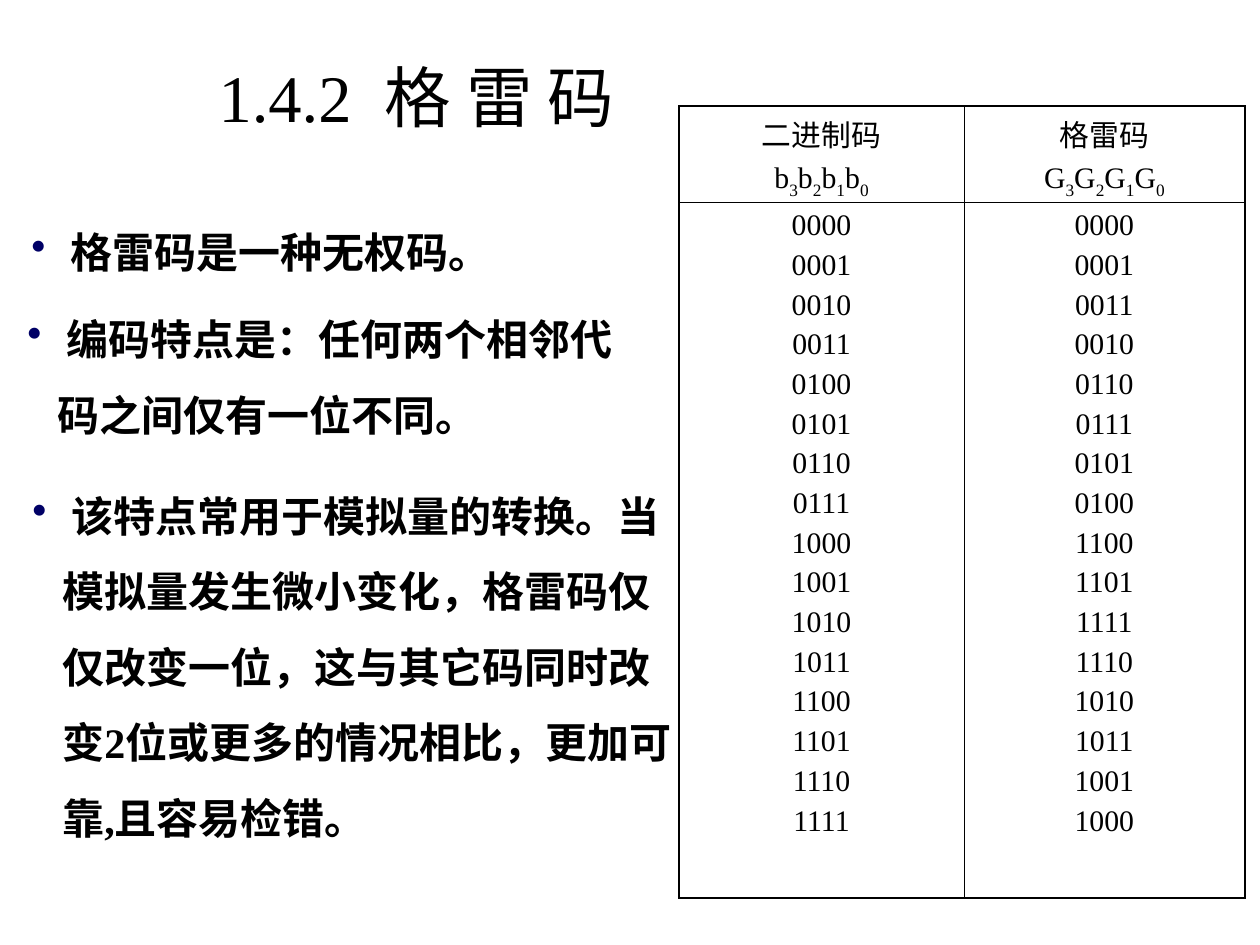
import pptx
import pptx.util
import pptx.dml.color
import pptx.enum.text
import pptx.oxml
import pptx.oxml.ns
from lxml import etree

Pt = pptx.util.Pt
BLACK = pptx.dml.color.RGBColor(0x00, 0x00, 0x00)
WHITE = pptx.dml.color.RGBColor(0xFF, 0xFF, 0xFF)
NAVY = pptx.dml.color.RGBColor(0x00, 0x00, 0x66)
FONT = "Times New Roman"
CENTER = pptx.enum.text.PP_ALIGN.CENTER
MIDDLE = pptx.enum.text.MSO_ANCHOR.MIDDLE
NO_AUTOFIT = pptx.enum.text.MSO_AUTO_SIZE.NONE

# Content; places are left, top, width, height in points
TITLE = "1.4.2  格 雷 码"
TITLE_PLACE = (59.8, 31.7, 356.4, 46.1)
BULLETS = [
    ("格雷码是一种无权码。", (10.8, 111.6, 370.8, 50.4)),
    ("编码特点是：任何两个相邻代码之间仅有一位不同。", (8.6, 161.3, 370.8, 93.6)),
    ("该特点常用于模拟量的转换。当模拟量发生微小变化，格雷码仅仅改变一位，"
     "这与其它码同时改变2位或更多的情况相比，更加可靠,且容易检错。",
     (11.5, 262.1, 384.5, 223.2)),
]
HEADERS = [("二进制码", "b"), ("格雷码", "G")]
BITS = 4
CODES = [
    [f"{number:04b}" for number in range(2 ** BITS)],
    [f"{number ^ (number >> 1):04b}" for number in range(2 ** BITS)],
]
TABLE_LEFT, TABLE_TOP = 388.1, 60.5
COLUMN_WIDTHS = (162.7, 160.6)
ROW_HEIGHTS = (55.4, 397.4)
OUTER_LINE, INNER_LINE = 1.08, 0.45
HANGING = 17


def place(shape, box):
    shape.left, shape.top, shape.width, shape.height = map(Pt, box)


def set_font(paragraph, size, bold=False):
    font = paragraph.font
    font.name, font.size, font.bold = FONT, Pt(size), bold
    font.color.rgb = BLACK


def add_bullet(paragraph):
    properties = paragraph._p.get_or_add_pPr()
    properties.set("marL", str(Pt(HANGING)))
    properties.set("indent", str(-Pt(HANGING)))
    color = etree.SubElement(properties, pptx.oxml.ns.qn("a:buClr"))
    etree.SubElement(color, pptx.oxml.ns.qn("a:srgbClr"), val=str(NAVY))
    etree.SubElement(properties, pptx.oxml.ns.qn("a:buChar"), char="•")


def set_borders(cell, row, column):
    properties = cell._tc.get_or_add_tcPr()
    outer_sides = {"L": column == 0, "R": column == 1, "T": row == 0, "B": row == 1}
    for side, outer in outer_sides.items():
        width = Pt(OUTER_LINE if outer else INNER_LINE)
        line = etree.SubElement(properties, pptx.oxml.ns.qn("a:ln" + side), w=str(width))
        fill = etree.SubElement(line, pptx.oxml.ns.qn("a:solidFill"))
        etree.SubElement(fill, pptx.oxml.ns.qn("a:srgbClr"), val=str(BLACK))


def fill_cell(cell, row, column):
    if row == 0:
        label, letter = HEADERS[column]
        cell.text_frame.text = label
        digits = cell.text_frame.add_paragraph()
        for bit in reversed(range(BITS)):
            digits.add_run().text = letter
            subscript = digits.add_run()
            subscript.text = str(bit)
            subscript._r.get_or_add_rPr().set("baseline", "-25000")
    else:
        cell.text_frame.text = "\n".join(CODES[column])
    for index, paragraph in enumerate(cell.text_frame.paragraphs):
        paragraph.alignment = CENTER
        if index:
            paragraph.space_before = Pt(3.7)
        set_font(paragraph, 17)
    set_borders(cell, row, column)
    cell.fill.solid()
    cell.fill.fore_color.rgb = WHITE


presentation = pptx.Presentation()
presentation.slide_width, presentation.slide_height = Pt(720), Pt(540)
slide = presentation.slides.add_slide(presentation.slide_layouts[5])

# Title
title = slide.shapes.title
place(title, TITLE_PLACE)
title.text_frame.text = TITLE
title.text_frame.auto_size = NO_AUTOFIT
title.text_frame.vertical_anchor = MIDDLE
title.text_frame.paragraphs[0].alignment = CENTER
set_font(title.text_frame.paragraphs[0], 38)

# Bulleted remarks
for text, box in BULLETS:
    remark = slide.shapes.add_textbox(*map(Pt, box))
    remark.text_frame.word_wrap = True
    paragraph = remark.text_frame.paragraphs[0]
    paragraph.text = " " + text
    add_bullet(paragraph)
    paragraph.line_spacing = 1.5
    set_font(paragraph, 24, bold=True)

# Code table
table = slide.shapes.add_table(
    len(ROW_HEIGHTS), len(COLUMN_WIDTHS), Pt(TABLE_LEFT), Pt(TABLE_TOP),
    Pt(sum(COLUMN_WIDTHS)), Pt(sum(ROW_HEIGHTS))).table
table.first_row = table.horz_banding = False
for column, width in enumerate(COLUMN_WIDTHS):
    table.columns[column].width = Pt(width)
for row, height in enumerate(ROW_HEIGHTS):
    table.rows[row].height = Pt(height)
    for column in range(len(COLUMN_WIDTHS)):
        fill_cell(table.cell(row, column), row, column)

presentation.save("out.pptx")
